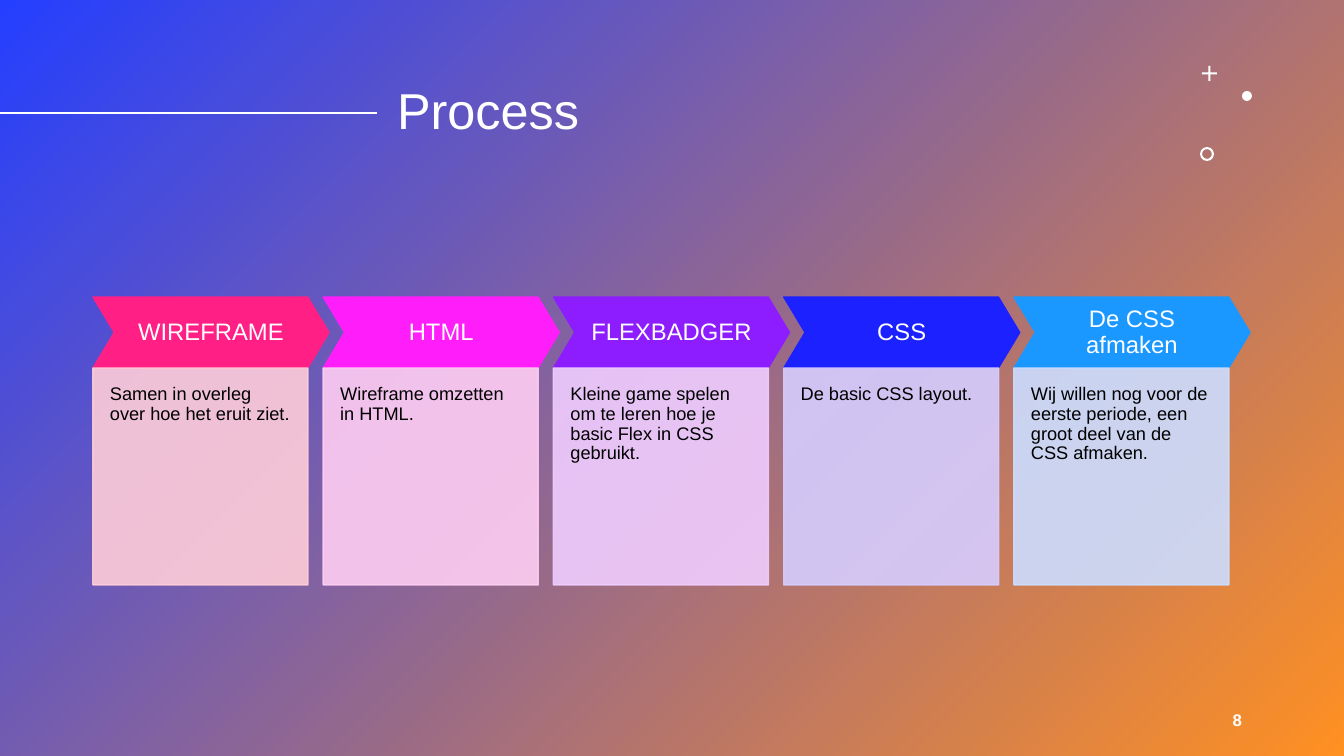
from lxml import etree
from pptx import Presentation
from pptx import util as u
from pptx.dml.color import RGBColor
from pptx.enum import shapes, text
from pptx.oxml import ns

PX = 914400 / 100.8
WIDE, HIGH = 1344, 756

WHITE = RGBColor(0xFF, 0xFF, 0xFF)
BLACK = RGBColor(0, 0, 0)
BLUE = RGBColor(0x24, 0x3F, 0xFF)
ORANGE = RGBColor(0xFF, 0x90, 0x22)

STEPS = [
    ("WIREFRAME", "Samen in overleg over hoe het eruit ziet.",
     RGBColor(0xFF, 0x1F, 0x85), RGBColor(0xFF, 0xCD, 0xD9)),
    ("HTML", "Wireframe omzetten in HTML.",
     RGBColor(0xFF, 0x1E, 0xFA), RGBColor(0xFF, 0xCD, 0xF3)),
    ("FLEXBADGER",
     "Kleine game spelen om te leren hoe je basic Flex in CSS gebruikt.",
     RGBColor(0x8D, 0x1D, 0xFF), RGBColor(0xF0, 0xCD, 0xFF)),
    ("CSS", "De basic CSS layout.",
     RGBColor(0x1B, 0x21, 0xFF), RGBColor(0xD6, 0xCD, 0xFF)),
    ("De CSS afmaken",
     "Wij willen nog voor de eerste periode, een groot deel van de CSS afmaken.",
     RGBColor(0x1A, 0x98, 0xFF), RGBColor(0xCC, 0xDD, 0xFF)),
]

SHAPE = shapes.MSO_SHAPE
MID, TOP = text.MSO_ANCHOR.MIDDLE, text.MSO_ANCHOR.TOP
LEFT, MIDDLE, RIGHT = (text.PP_ALIGN.LEFT, text.PP_ALIGN.CENTER,
                       text.PP_ALIGN.RIGHT)


def emu(*px):
    return [u.Emu(round(n * PX)) for n in px]


def assign(obj, **values):
    for name, value in values.items():
        setattr(obj, name, value)


def write(shape, words, size, color, align, anchor, pad, bold=False):
    """Fill a shape with one paragraph; pad is left, top, right, bottom."""
    frame = shape.text_frame
    sides = ("margin_left", "margin_top", "margin_right", "margin_bottom")
    assign(frame, text=words, word_wrap=True, vertical_anchor=anchor,
           auto_size=text.MSO_AUTO_SIZE.NONE, **dict(zip(sides, emu(*pad))))
    para = frame.paragraphs[0]
    assign(para, alignment=align, line_spacing=0.9)
    font = para.runs[0].font
    assign(font, name="Arial", size=u.Pt(size), bold=bold)
    font.color.rgb = color


def draw(slide, kind, box, color, edge=False):
    shape = slide.shapes.add_shape(kind, *emu(*box))
    shape.shadow.inherit = False
    shape.fill.solid()
    shape.fill.fore_color.rgb = color
    if edge:
        shape.line.color.rgb = color
        shape.line.width = u.Pt(1)
    else:
        shape.line.fill.background()
    return shape


def fade(shape, percent):
    """Set the opacity of the fill and the line."""
    for color in shape._element.spPr.iter(ns.qn("a:srgbClr")):
        etree.SubElement(color, ns.qn("a:alpha"), val=str(percent * 1000))


def backdrop(slide, box):
    panel = draw(slide, SHAPE.RECTANGLE, box, BLUE)
    panel.fill.gradient()
    panel.fill.gradient_angle = 315
    for stop, color in zip(panel.fill.gradient_stops, (BLUE, ORANGE)):
        stop.color.rgb = color
    slide.shapes._spTree.insert(2, panel._element)


def heading(slide, box):
    x, y, w, h = box
    title = slide.shapes.title
    names = ("left", "top", "width", "height")
    assign(title, **dict(zip(names, emu(*box))))
    write(title, "Process", 36, WHITE, LEFT, MID, (10, 5, 10, 5))
    rule = slide.shapes.add_connector(
        shapes.MSO_CONNECTOR.STRAIGHT, *emu(0, y + h // 2, x - 10, y + h // 2))
    rule.line.color.rgb = WHITE
    rule.line.width = u.Pt(2)
    etree.SubElement(rule._element.spPr, ns.qn("a:effectLst"))


def marks(slide, box):
    """Place the plus, the dot and the ring."""
    x, y = box[:2]
    plus = draw(slide, SHAPE.CROSS, (x + 2, y, 15, 15), WHITE)
    plus.adjustments[0] = 0.43
    draw(slide, SHAPE.OVAL, (x + 42, y + 25, 10, 10), WHITE)
    ring = draw(slide, SHAPE.DONUT, (x, y + 81, 14, 14), WHITE)
    ring.adjustments[0] = 0.15


def process(slide, box):
    x, y, w, h = box
    head, tip = 71, 21
    wide = 215
    pitch = (w - wide - tip) / (len(STEPS) - 1)
    for i, (name, note, dark, pale) in enumerate(STEPS):
        left = x + i * pitch
        arrow = draw(slide, SHAPE.CHEVRON, (left, y, wide + tip, head),
                     dark, True)
        arrow.adjustments[0] = 0.3
        write(arrow, name, 17, WHITE, MIDDLE, MID, (9, 9, 9, 9))
        card = draw(slide, SHAPE.RECTANGLE, (left, y + head, wide, h - head),
                    pale, True)
        fade(card, 90)
        write(card, note, 13, BLACK, LEFT, TOP, (17, 17, 17, 34))


def number(slide, box):
    label = slide.shapes.add_textbox(*emu(*box))
    write(label, "8", 12, WHITE, RIGHT, MID, (10, 5, 10, 5), True)


def main():
    deck = Presentation()
    deck.slide_width, deck.slide_height = emu(WIDE, HIGH)
    slide = deck.slides.add_slide(deck.slide_layouts[5])
    backdrop(slide, (0, 0, WIDE, HIGH))
    heading(slide, (387, 40, 789, 146))
    marks(slide, (1200, 66, 52, 95))
    number(slide, (950, 701, 302, 40))
    process(slide, (93, 297, 1157, 288))
    deck.save("out.pptx")


if __name__ == "__main__":
    main()
